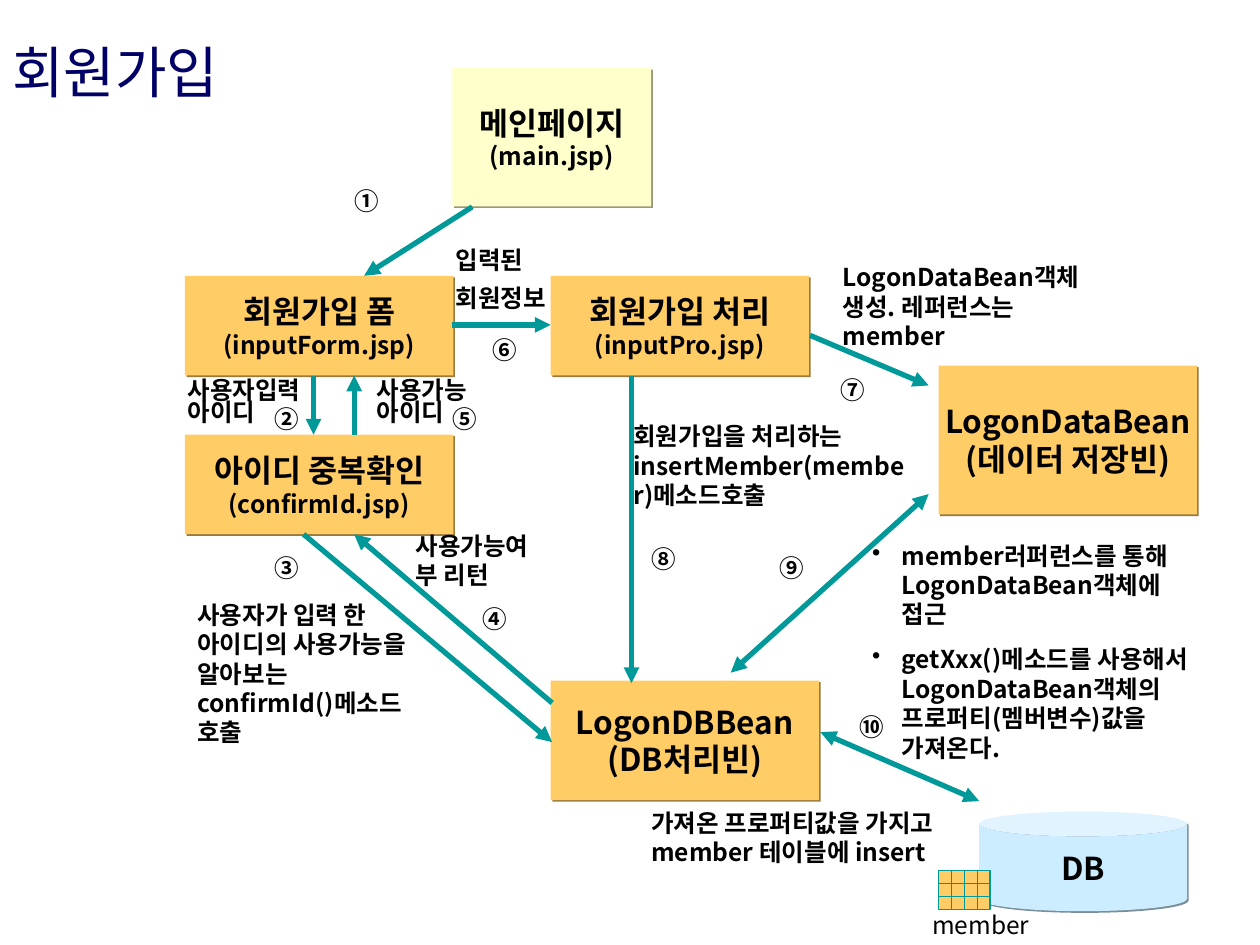
from lxml import etree
from pptx import Presentation
from pptx.dml.color import RGBColor
from pptx.enum.shapes import MSO_CONNECTOR as Connector, MSO_SHAPE as Shape
from pptx.enum.text import MSO_ANCHOR as Anchor, PP_ALIGN as Align
from pptx.oxml.ns import qn
from pptx.util import Cm, Pt

FONT = "Noto Sans CJK KR"
INK, TEAL, ORANGE, NAVY = "010000", "009999", "FFCC66", "000066"
ORANGE_SHADE = "997A3D"

NODES = [
    (Shape.RECTANGLE, (9.12, 1.37, 4.01, 2.79), "FFFFCC", "99997A",
     [("메인페이지", 18), ("(main.jsp)", 14)]),
    (Shape.RECTANGLE, (3.73, 5.56, 5.41, 2.01), ORANGE, ORANGE_SHADE,
     [("회원가입 폼", 18), ("(inputForm.jsp)", 14)]),
    (Shape.RECTANGLE, (11.1, 5.56, 5.21, 2.01), ORANGE, ORANGE_SHADE,
     [("회원가입 처리", 18), ("(inputPro.jsp)", 14)]),
    (Shape.RECTANGLE, (3.73, 8.76, 5.41, 2.01), ORANGE, ORANGE_SHADE,
     [("아이디 중복확인", 18), ("(confirmId.jsp)", 14)]),
    (Shape.RECTANGLE, (18.92, 7.37, 5.21, 3), ORANGE, ORANGE_SHADE,
     [("LogonDataBean", 18), ("(데이터 저장빈)", 18)]),
    (Shape.RECTANGLE, (11.1, 13.72, 5.41, 2.41), ORANGE, ORANGE_SHADE,
     [("LogonDBBean", 18), ("(DB처리빈)", 18)]),
    (Shape.CAN, (19.74, 16.36, 4.19, 2.01), "CCECFF", "7A8E99", [("DB", 18)]),
]

ARROWS = [
    ((9.52, 4.17), (7.34, 5.56), False),
    ((9.12, 6.55), (11.1, 6.55), False),
    ((6.32, 7.57), (6.32, 8.76), False),
    ((7.14, 8.76), (7.14, 7.57), False),
    ((6.12, 10.77), (11.13, 14.96), False),
    ((11.13, 14.17), (7.14, 10.77), False),
    ((16.33, 6.76), (18.72, 7.77), False),
    ((12.73, 7.57), (12.73, 13.77), False),
    ((14.73, 13.56), (18.72, 9.96), True),
    ((16.54, 14.76), (19.74, 16.15), True),
]

LABELS = [
    ((16.74, 5.16, 5.61, 2.03), ["LogonDataBean객체 생성. 레퍼런스는 member"], {}),
    ((18.54, 18.21, 2.59, 0.86), ["member"], {"bold": False}),
    ((8.94, 4.95, 2.79, 1.45), ["입력된", "회원정보"], {"spacing": 0.75}),
    ((17.58, 10.77, 6.6, 4.14),
     ["member러퍼런스를 통해 LogonDataBean객체에 접근",
      "getXxx()메소드를 사용해서 LogonDataBean객체의 프로퍼티(멤버변수)값을 가져온다."],
     {"inset": (0, 0.13), "bullet": True}),
    ((13.13, 16.15, 6.6, 1.45), ["가져온 프로퍼티값을 가지고 member 테이블에 insert"],
     {"inset": (0, 0.13)}),
    ((3.53, 7.57, 3, 1.14), ["사용자입력 아이디"], {"spacing": 0.75}),
    ((7.34, 7.57, 3, 1.14), ["사용가능 아이디"], {"spacing": 0.75}),
    ((3.73, 11.96, 4.8, 3.23),
     ["사용자가 입력 한 아이디의 사용가능을 알아보는 confirmId()메소드 호출"], {}),
    ((8.13, 10.57, 2.79, 1.45), ["사용가능여부 리턴"], {}),
    ((12.52, 8.36, 5.99, 2.03), ["회원가입을 처리하는 insertMember(member)메소드호출"], {}),
]

STEPS = [
    ("①", 7.14, 3.76), ("②", 5.54, 8.15), ("③", 5.54, 11.15), ("④", 9.73, 12.17),
    ("⑤", 9.12, 8.15), ("⑥", 9.93, 6.76), ("⑦", 16.94, 7.57), ("⑧", 13.13, 10.97),
    ("⑨", 15.72, 11.15), ("⑩", 17.32, 14.35),
]

GRID_LEFT, GRID_TOP, GRID_CELL, GRID_ROWS, GRID_COLUMNS = 18.92, 17.55, 0.26, 3, 4


def color(value):
    return RGBColor.from_string(value)


def lengths(values):
    return [Cm(value) for value in values]


def add_span(para, text, size, bold=True, ink=INK):
    span = para.add_run()
    span.text = text
    span.font.size = Pt(size)
    span.font.bold = bold
    span.font.name = FONT
    span.font.color.rgb = color(ink)
    east_asian = etree.SubElement(span.font._element, qn("a:ea"))
    east_asian.set("typeface", FONT)


def next_para(frame, index):
    return frame.add_paragraph() if index else frame.paragraphs[0]


def set_insets(frame, across, down):
    frame.margin_left = frame.margin_right = Cm(across)
    frame.margin_top = frame.margin_bottom = Cm(down)


def add_bullet(para):
    properties = para._p.get_or_add_pPr()
    properties.set("marL", str(Cm(0.6)))
    properties.set("indent", str(-Cm(0.6)))
    etree.SubElement(properties, qn("a:buChar")).set("char", "•")


def add_shape(page, kind, place, fill):
    shape = page.shapes.add_shape(kind, *lengths(place))
    shape.shadow.inherit = False
    shape.fill.solid()
    shape.fill.fore_color.rgb = color(fill)
    return shape


def add_node(page, kind, place, fill, shade, lines):
    node = add_shape(page, kind, place, fill)
    node.line.fill.background()
    effects = node._element.spPr.find(qn("a:effectLst"))
    shadow = etree.SubElement(effects, qn("a:outerShdw"), blurRad="0",
                              dist=str(Pt(1.4)), dir="2700000", algn="ctr", rotWithShape="0")
    etree.SubElement(shadow, qn("a:srgbClr"), val=shade)
    frame = node.text_frame
    frame.word_wrap = False
    frame.vertical_anchor = Anchor.MIDDLE
    set_insets(frame, 0.25, 0.13)
    for index, (text, size) in enumerate(lines):
        para = next_para(frame, index)
        para.alignment = Align.CENTER
        add_span(para, text, size)


def add_arrow(page, start, end, both):
    arrow = page.shapes.add_connector(Connector.STRAIGHT, *lengths(start + end))
    arrow.line.color.rgb = color(TEAL)
    arrow.line.width = Pt(3)
    outline = arrow.line._get_or_add_ln()
    for tag in ["a:headEnd", "a:tailEnd"] if both else ["a:tailEnd"]:
        etree.SubElement(outline, qn(tag), type="triangle")
    etree.SubElement(arrow._element.spPr, qn("a:effectLst"))


def add_label(page, place, texts, inset=(0.25, 0.13), spacing=None, bullet=False,
              size=14, bold=True, ink=INK, anchor=Anchor.TOP):
    frame = page.shapes.add_textbox(*lengths(place)).text_frame
    frame.word_wrap = True
    frame.vertical_anchor = anchor
    set_insets(frame, *inset)
    for index, text in enumerate(texts):
        para = next_para(frame, index)
        if spacing:
            para.line_spacing = spacing
        if index:
            para.space_before = Pt(8.8)
        if bullet:
            add_bullet(para)
        add_span(para, text, size, bold, ink)


def main():
    deck = Presentation()
    deck.slide_width, deck.slide_height = Cm(25.4), Cm(19.05)
    page = deck.slides.add_slide(deck.slide_layouts[6])
    add_label(page, (0, 0, 8.79, 3.2), ["회원가입"], spacing=0.7, size=32,
              bold=False, ink=NAVY, anchor=Anchor.MIDDLE)
    for node in NODES:
        add_node(page, *node)
    for arrow in ARROWS:
        add_arrow(page, *arrow)
    for row in range(GRID_ROWS):
        for column in range(GRID_COLUMNS):
            place = (GRID_LEFT + column * GRID_CELL, GRID_TOP + row * GRID_CELL,
                     GRID_CELL, GRID_CELL)
            cell = add_shape(page, Shape.RECTANGLE, place, ORANGE)
            cell.line.color.rgb = color(TEAL)
            cell.line.width = Pt(0.75)
    for place, texts, style in LABELS:
        add_label(page, place, texts, **style)
    for number, left, top in STEPS:
        add_label(page, (left, top, 0.61, 0.58), [number], inset=(0, 0))
    deck.save("out.pptx")


if __name__ == "__main__":
    main()
